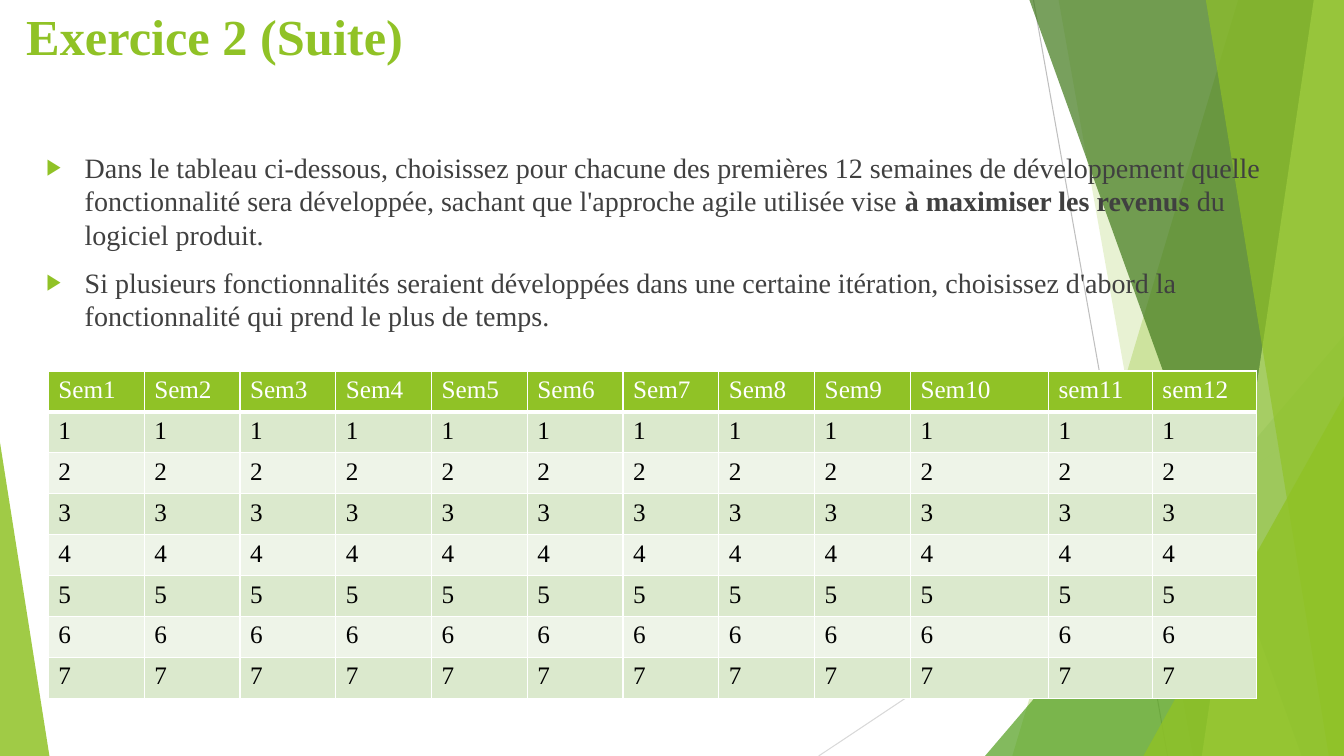
from lxml.etree import SubElement
from pptx import Presentation
from pptx.dml.color import RGBColor as Rgb
from pptx.enum.shapes import MSO_CONNECTOR as Conn, MSO_SHAPE as Kind
from pptx.enum.text import MSO_ANCHOR as Anchor, MSO_AUTO_SIZE as Fit, PP_ALIGN as Align
from pptx.oxml.ns import qn
from pptx.util import Inches, Pt

FONT = "Times New Roman"
WIDTH, HEIGHT = 13.33, 7.5
HUES = {
    "lime": "90C226", "leaf": "54A021", "moss": "3F7819", "pale": "C0E474",
    "ink": "404040", "black": "000000", "white": "FFFFFF",
    "odd": "DBE9CD", "even": "EEF4E8", "gray": "BFBFBF", "mist": "D9D9D9",
}

# Slanted bands: top left x, bottom left x, right edge x at the bottom
# Triangles: left, top, width, height, place of the tip
# Both end with colour and opacity in percent
PANES = [
    ("band", (12.28, 10.04), "lime", 30),
    ("band", (10.5, 11.83), "lime", 20),
    ("peak", (9.77, 3.33, 3.56, 4.17, 1), "leaf", 72),
    ("band", (10.21, 12.91), "moss", 70),
    ("band", (13.03, 11.92), "pale", 70),
    ("band", (11.96, 13.18), "lime", 65),
    ("peak", (11.34, 3.93, 1.99, 3.57, 1), "lime", 80),
    ("peak", (0, 4.39, 0.49, 3.11, 0), "lime", 85),
]
RAYS = [((10.25, 0), (11.58, 7.5), "gray"), ((13.33, 4.03), (8.12, 7.5), "mist")]

POINTS = [
    [("Dans le tableau ci-dessous, choisissez pour chacune des premières 12 semaines "
      "de développement quelle fonctionnalité sera développée, sachant que l'approche "
      "agile utilisée vise ", False),
     ("à maximiser les revenus ", True),
     ("du logiciel produit.", False)],
    [("Si plusieurs fonctionnalités seraient développées dans une certaine itération, "
      "choisissez d'abord la fonctionnalité qui prend le plus de temps.", False)],
]
HEADS = [f"Sem{n}" for n in range(1, 11)] + ["sem11", "sem12"]
WEEKS = [0.95] * 9 + [1.37, 1.03, 1.03]
ITEMS = 7


def tint(name):
    return Rgb.from_string(HUES[name])


def add_run(para, text, size, hue, bold=False):
    run = para.add_run()
    run.text = text
    font = run.font
    font.name, font.size, font.bold = FONT, Pt(size), bold
    font.color.rgb = tint(hue)


def place(shape, box):
    shape.left, shape.top, shape.width, shape.height = map(Inches, box)
    # Bring in front of the backdrop
    shape.element.getparent().append(shape.element)
    frame = shape.text_frame
    frame.word_wrap, frame.auto_size = True, Fit.NONE
    frame.vertical_anchor = Anchor.TOP
    return frame


def paint(shape, hue, alpha):
    shape.shadow.inherit = False
    shape.fill.solid()
    shape.fill.fore_color.rgb = tint(hue)
    shape.line.fill.background()
    color = shape.element.spPr.find(qn("a:solidFill"))[0]
    SubElement(color, qn("a:alpha"), val=str(alpha * 1000))


def add_decor(slide, box):
    x, y, w, h = box
    shapes = slide.shapes
    # Thin rays
    for start, end, hue in RAYS:
        ray = shapes.add_connector(
            Conn.STRAIGHT, Inches(x + start[0]), Inches(y + start[1]),
            Inches(x + end[0]), Inches(y + end[1]))
        ray.line.color.rgb = tint(hue)
        ray.line.width = Pt(0.75)
        SubElement(ray.element.spPr, qn("a:effectLst"))
    # Translucent panes
    for kind, dims, hue, alpha in PANES:
        if kind == "band":
            top, foot = dims
            form = shapes.build_freeform(Inches(x + top), Inches(y))
            form.add_line_segments([
                (Inches(x + w), Inches(y)), (Inches(x + w), Inches(y + h)),
                (Inches(x + foot), Inches(y + h))])
            pane = form.convert_to_shape()
        else:
            left, top, wide, high, tip = dims
            pane = shapes.add_shape(
                Kind.ISOSCELES_TRIANGLE, Inches(x + left), Inches(y + top),
                Inches(wide), Inches(high))
            pane.adjustments[0] = tip
        paint(pane, hue, alpha)


def add_title(slide, box):
    para = place(slide.shapes.title, box).paragraphs[0]
    para.alignment = Align.LEFT
    add_run(para, "Exercice 2 (Suite)", 36, "lime", True)


def add_bullet(para):
    props = para._p.get_or_add_pPr()
    indent = Inches(0.38)
    props.set("marL", str(indent))
    props.set("indent", str(-indent))
    color = SubElement(props, qn("a:buClr"))
    SubElement(color, qn("a:srgbClr"), val=HUES["lime"])
    SubElement(props, qn("a:buSzPct"), val="80000")
    SubElement(props, qn("a:buChar"), char="▶")


def add_body(slide, box):
    frame = place(slide.placeholders[1], box)
    for i, runs in enumerate(POINTS):
        para = frame.add_paragraph() if i else frame.paragraphs[0]
        add_bullet(para)
        para.space_before = Pt(10 if i else 0)
        for text, bold in runs:
            add_run(para, text, 20, "ink", bold)


def add_edges(cell, row):
    props = cell._tc.get_or_add_tcPr()
    # Thick rule between the header and the first row
    thick = {0: "lnB", 1: "lnT"}.get(row)
    for side in ("lnL", "lnR", "lnT", "lnB"):
        width = Pt(3 if side == thick else 1)
        edge = SubElement(props, qn(f"a:{side}"), w=str(width))
        fill = SubElement(edge, qn("a:solidFill"))
        SubElement(fill, qn("a:srgbClr"), val=HUES["white"])


def add_grid(slide, box):
    rows = [HEADS] + [[str(n)] * len(HEADS) for n in range(1, ITEMS + 1)]
    table = slide.shapes.add_table(len(rows), len(HEADS), *map(Inches, box)).table
    for col, wide in zip(table.columns, WEEKS):
        col.width = Inches(wide)
    for r, texts in enumerate(rows):
        table.rows[r].height = Inches(box[3] / len(rows))
        back = "lime" if r == 0 else "odd" if r % 2 else "even"
        for c, text in enumerate(texts):
            cell = table.cell(r, c)
            add_edges(cell, r)
            cell.fill.solid()
            cell.fill.fore_color.rgb = tint(back)
            add_run(cell.text_frame.paragraphs[0], text, 18, "black" if r else "white")


def main():
    deck = Presentation()
    deck.slide_width, deck.slide_height = Inches(WIDTH), Inches(HEIGHT)
    slide = deck.slides.add_slide(deck.slide_layouts[1])
    add_decor(slide, (0, 0, WIDTH, HEIGHT))
    add_title(slide, (0.16, 0, 9.4, 1.44))
    add_body(slide, (0.36, 1.44, 12.38, 4.24))
    add_grid(slide, (0.48, 3.68, sum(WEEKS), 3.25))
    deck.save("out.pptx")


if __name__ == "__main__":
    main()
